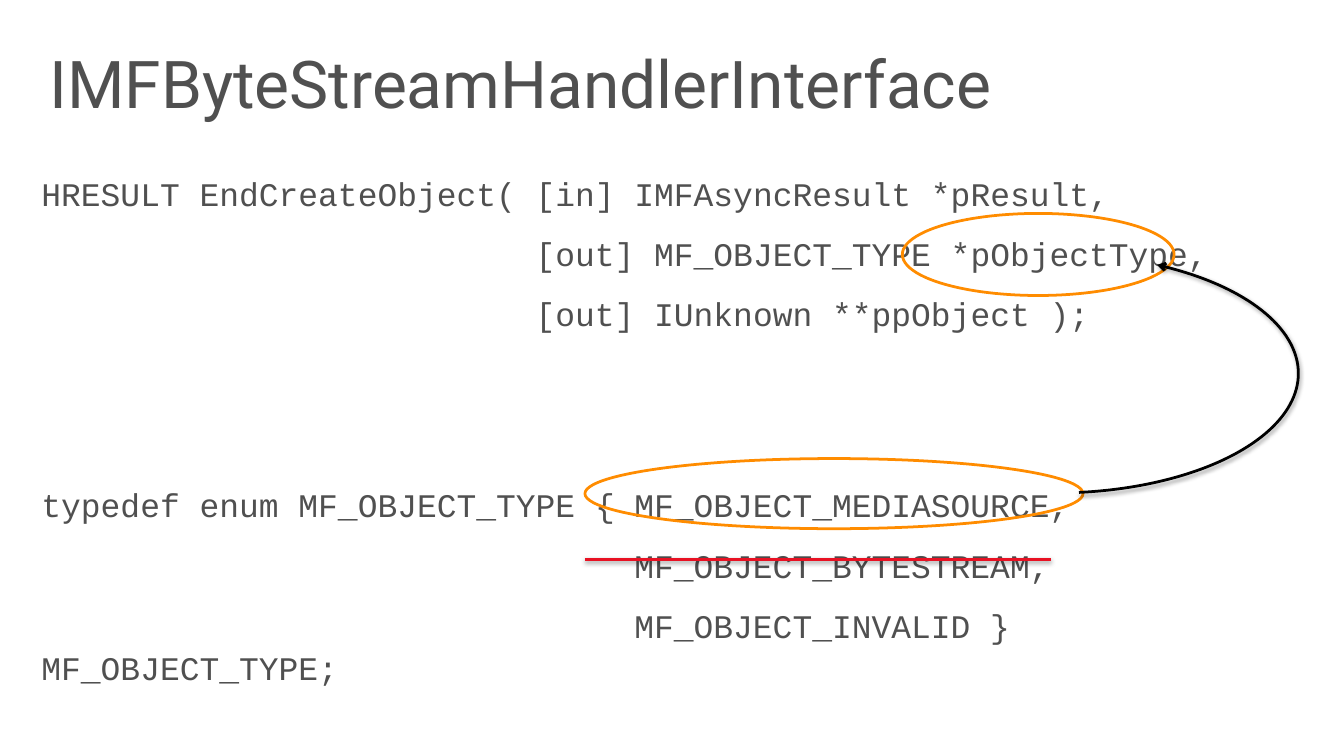
"""Builds the IMFByteStreamHandlerInterface slide with its annotated code."""
from lxml.etree import SubElement
from pptx import Presentation
from pptx.dml.color import RGBColor
from pptx.enum.shapes import MSO_CONNECTOR as Connector, MSO_SHAPE as Shape
from pptx.enum.text import MSO_ANCHOR as Anchor
from pptx.oxml import parse_xml
from pptx.oxml.ns import nsdecls, qn
from pptx.util import Pt

GREY = RGBColor(0x50, 0x50, 0x50)
ORANGE = RGBColor(0xFF, 0x8C, 0x00)
RED = RGBColor(0xE8, 0x11, 0x23)
BLACK = RGBColor(0x00, 0x00, 0x00)


def add_text(box, lines, font_name, size, inset):
    """Add a text box with one paragraph per line and return its paragraphs."""
    frame = slide.shapes.add_textbox(*map(Pt, box)).text_frame
    frame.word_wrap = True
    frame.vertical_anchor = Anchor.TOP
    frame.margin_left = frame.margin_right = Pt(14.4)
    frame.margin_top = frame.margin_bottom = Pt(inset)
    frame.text = "\n".join(lines)
    for paragraph in frame.paragraphs:
        paragraph.line_spacing = 1.07
        font = paragraph.runs[0].font
        font.name, font.size = font_name, Pt(size)
        font.color.rgb = GREY
    return frame.paragraphs


def style_stroke(shape, color):
    """Give a line or arc its colour, width and soft shadow."""
    shape.line.color.rgb = color
    shape.line.width = Pt(2)
    shape._element.spPr.append(parse_xml(
        f'<a:effectLst {nsdecls("a")}>'
        '<a:outerShdw blurRad="40000" dist="20000" dir="5400000" rotWithShape="0">'
        '<a:srgbClr val="000000"><a:alpha val="38000"/></a:srgbClr>'
        '</a:outerShdw></a:effectLst>'))


presentation = Presentation()
presentation.slide_width = Pt(979.2)
presentation.slide_height = Pt(550.8)
slide = presentation.slides.add_slide(presentation.slide_layouts[6])

code_blocks = [
    (113, 360, ["HRESULT EndCreateObject(\t[in] IMFAsyncResult *pResult,",
                "\t[out] MF_OBJECT_TYPE *pObjectType,",
                "\t[out] IUnknown **ppObject );"]),
    (339.8, 432, ["typedef enum MF_OBJECT_TYPE {\tMF_OBJECT_MEDIASOURCE,",
                  "\tMF_OBJECT_BYTESTREAM,",
                  "\tMF_OBJECT_INVALID } MF_OBJECT_TYPE;"]),
]
for top, tab_stop, lines in code_blocks:
    for paragraph in add_text((15.8, top, 936, 159), lines, "Courier New", 24, 11.5):
        paragraph.space_before = Pt(4.8)
        paragraph.space_after = Pt(8.2)
        tab_list = SubElement(paragraph._p.get_or_add_pPr(), qn("a:tabLst"))
        SubElement(tab_list, qn("a:tab"), pos=str(Pt(tab_stop)), algn="l")

for box in [(657.4, 155.5, 198, 59.8), (426.2, 334.1, 362.9, 51.1)]:
    highlight = slide.shapes.add_shape(Shape.OVAL, *map(Pt, box))
    highlight.shadow.inherit = False
    highlight.fill.background()
    highlight.line.color.rgb = ORANGE
    highlight.line.width = Pt(2)

arc = slide.shapes.add_shape(Shape.ARC, Pt(591.8), Pt(185), Pt(354.2), Pt(174.2))
arc.adjustments[0] = 187.92
arc.adjustments[1] = 47.24
arc.fill.background()
style_stroke(arc, BLACK)
SubElement(arc.line._get_or_add_ln(), qn("a:headEnd"), type="arrow")

add_text((21.6, 23.8, 936, 83.5), ["IMFByteStreamHandlerInterface"], "Roboto", 48, 3.6)

strike = slide.shapes.add_connector(
    Connector.STRAIGHT, Pt(426.2), Pt(407.5), Pt(765.4), Pt(407.5))
style_stroke(strike, RED)

presentation.save("out.pptx")
